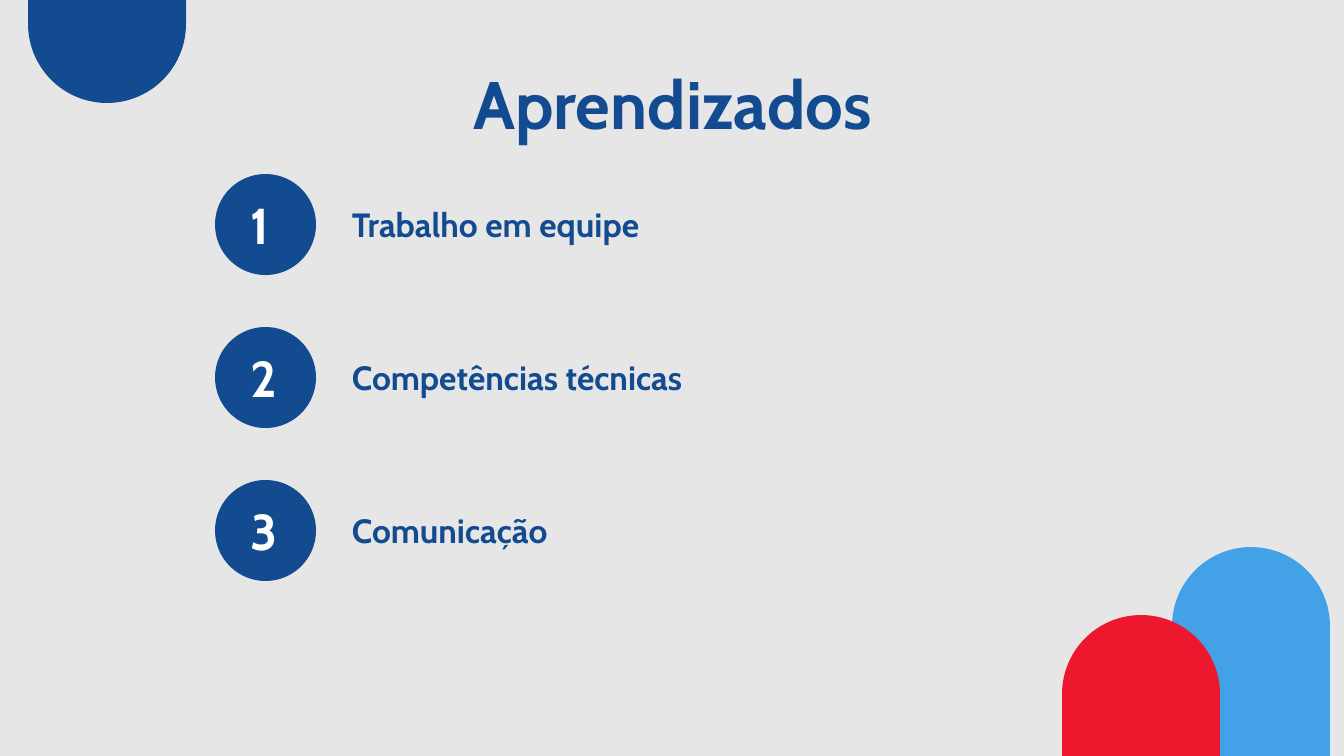
from dataclasses import dataclass

from pptx import Presentation
from pptx.dml.color import RGBColor
from pptx.enum.shapes import MSO_SHAPE as Shape
from pptx.enum.text import MSO_ANCHOR as Anchor, PP_ALIGN as Align

EMU_PER_PX = 914400 / 100.8


@dataclass(frozen=True)
class Theme:
    font: str = "Cabin"
    background: str = "E7E6E6"
    navy: str = "134B90"
    sky: str = "43A2E7"
    red: str = "ED182D"
    white: str = "FFFFFF"
    title_size: int = 48
    number_size: int = 36
    item_size: int = 24


theme = Theme()
presentation = Presentation()
presentation.slide_width = round(1344 * EMU_PER_PX)
presentation.slide_height = round(756 * EMU_PER_PX)
slide = presentation.slides.add_slide(presentation.slide_layouts[6])
slide.background.fill.solid()
slide.background.fill.fore_color.rgb = RGBColor.from_string(theme.background)


def add_solid(kind, box, color, rotation=0):
    solid = slide.shapes.add_shape(kind, *(round(v * EMU_PER_PX) for v in box))
    solid.rotation = rotation
    solid.fill.solid()
    solid.fill.fore_color.rgb = RGBColor.from_string(color)
    solid.line.fill.background()
    solid.shadow.inherit = False


def add_text(text, box, *, size, color=theme.navy, align=Align.LEFT, wrap=True):
    frame = slide.shapes.add_textbox(*(round(v * EMU_PER_PX) for v in box)).text_frame
    frame.word_wrap = wrap
    frame.vertical_anchor = Anchor.TOP
    paragraph = frame.paragraphs[0]
    paragraph.alignment = align
    run = paragraph.add_run()
    run.text = text
    run.font.name = theme.font
    run.font.size = size * 12700
    run.font.bold = True
    run.font.color.rgb = RGBColor.from_string(color)


# Title
add_text("Aprendizados", (255, 57, 835, 92), size=theme.title_size, align=Align.CENTER)

# Rounded arches in the corners
ARCH = 158
add_solid(Shape.FLOWCHART_DELAY, (1172, 547, ARCH, ARCH), theme.sky, 270)
add_solid(Shape.RECTANGLE, (1172, 690, ARCH, 66), theme.sky)
add_solid(Shape.FLOWCHART_DELAY, (1062, 615, ARCH, ARCH), theme.red, 270)
add_solid(Shape.FLOWCHART_DELAY, (28, -55, ARCH, ARCH), theme.navy, 90)

# Numbered learnings
FIRST_TOP, ROW_STEP, DISC = 174, 153, 101
learnings = ["Trabalho em equipe", "Competências técnicas", "Comunicação"]
for index, learning in enumerate(learnings):
    top = FIRST_TOP + index * ROW_STEP
    add_solid(Shape.OVAL, (215, top, DISC, DISC), theme.navy)
    add_text(str(index + 1), (241, top + 15, 47, 72), size=theme.number_size,
             color=theme.white)
    add_text(learning, (342, top + 25, 788, 50), size=theme.item_size,
             align=Align.JUSTIFY)

presentation.save("out.pptx")
